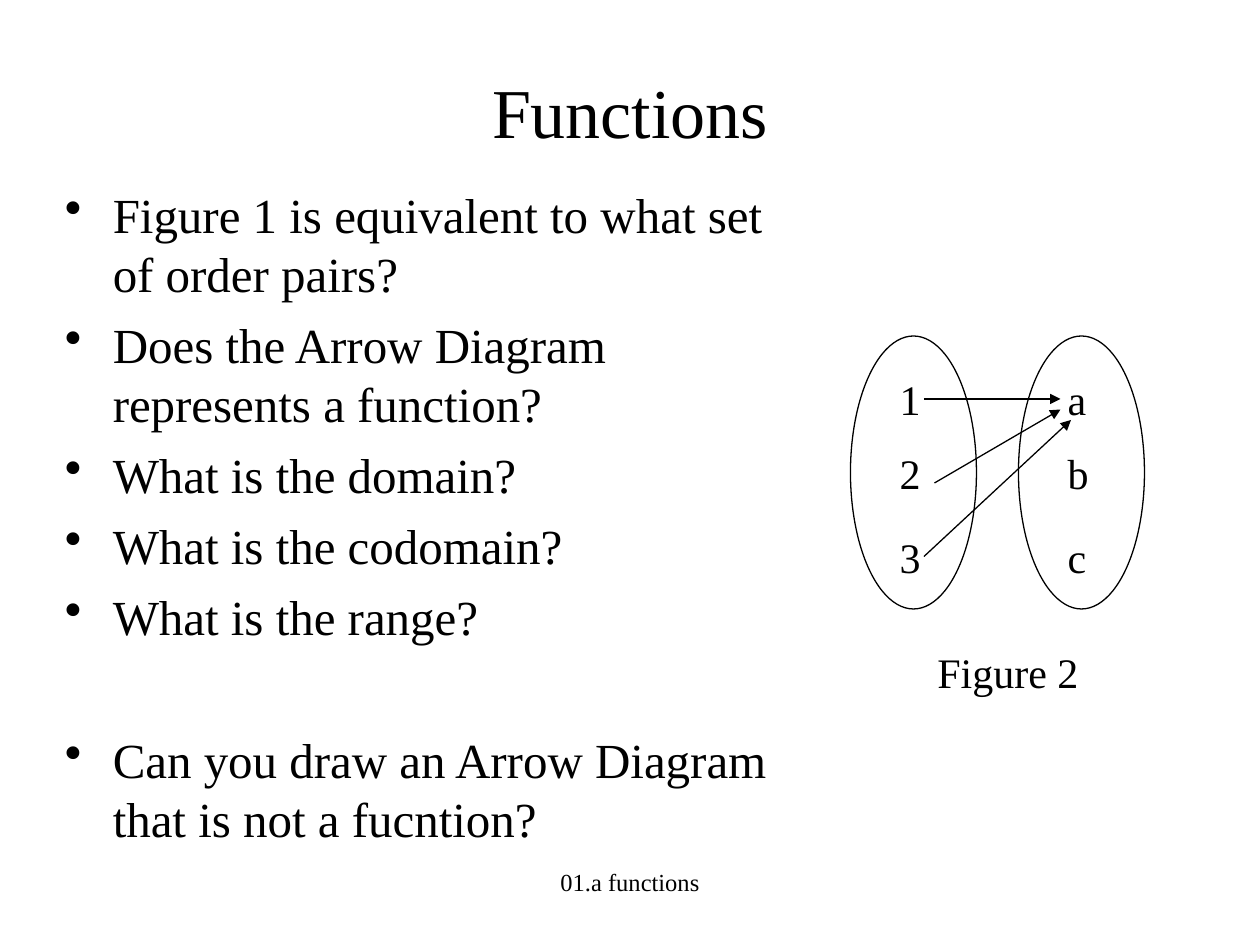
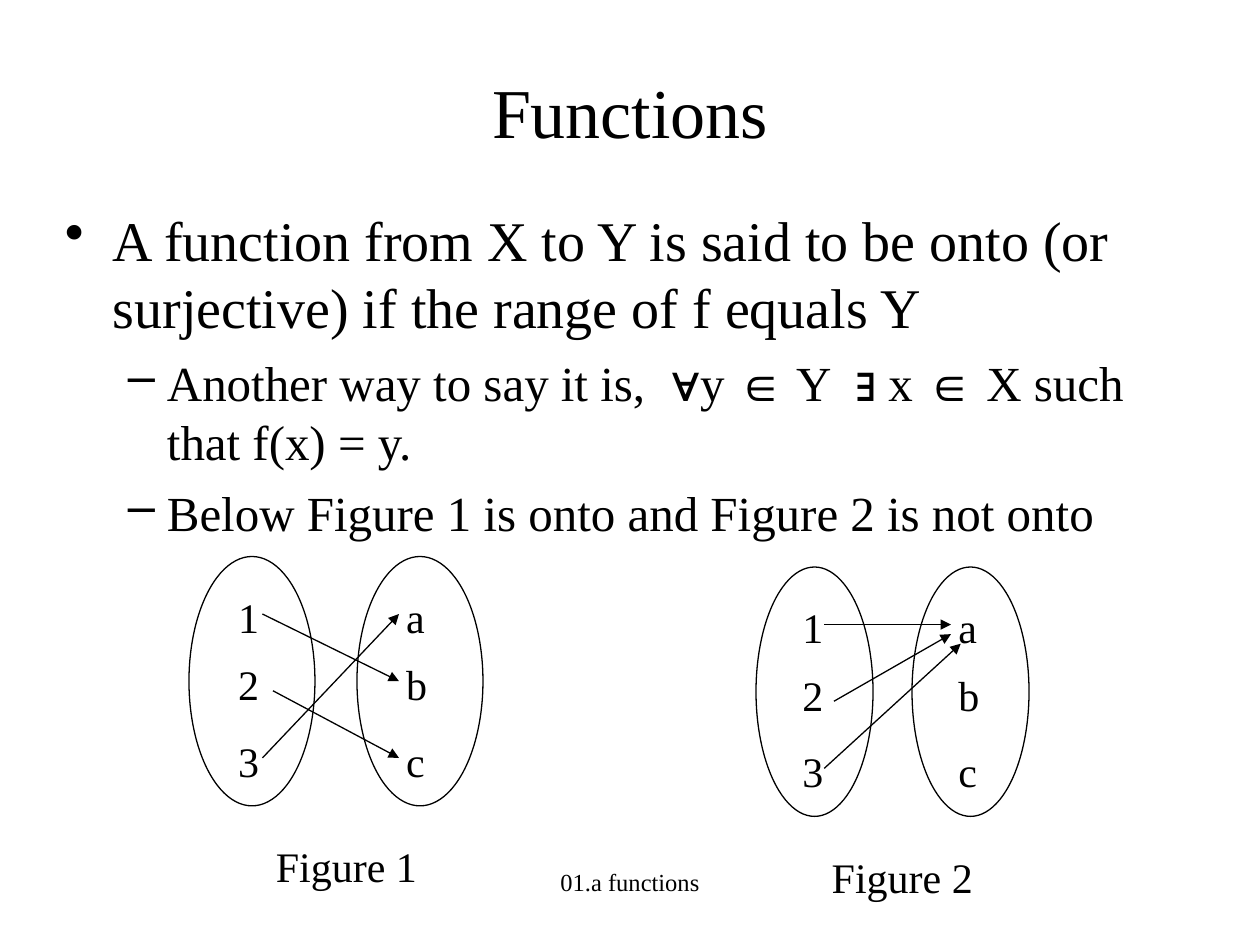
from lxml import etree
from pptx import Presentation
from pptx.dml.color import RGBColor
from pptx.enum.shapes import MSO_CONNECTOR, MSO_SHAPE
from pptx.enum.text import MSO_ANCHOR, PP_ALIGN
from pptx.oxml.ns import qn
from pptx.util import Inches, Pt

OVAL, STRAIGHT = MSO_SHAPE.OVAL, MSO_CONNECTOR.STRAIGHT
LEFT, CENTER = PP_ALIGN.LEFT, PP_ALIGN.CENTER
TOP, MIDDLE = MSO_ANCHOR.TOP, MSO_ANCHOR.MIDDLE
COLORS = {"ink": "000000", "paper": "FFFFFF"}
SERIF, SYMBOLS = "Times New Roman", "Arial"

SLIDE_W, SLIDE_H = Inches(10), Inches(7.5)
UNIT = SLIDE_W / 120
TITLE_BOX = (9, 3, 102, 15)
FOOTER_BOX = (41, 82, 38, 6)
LABEL_H = 6
FIGURE_COLS, FIGURE_ROWS = 28, 26
LABEL_ROWS = (3, 10, 18)
SETS = ((0, "123"), (16, "abc"))
ONTO = ((7, 6, 20, 13), (8, 14, 20, 21), (7, 21, 20, 6))
NOT_ONTO = ((7, 6, 20, 6), (8, 14, 20, 7), (7, 21, 21, 8))
LEVELS = (("•", 0.38, -0.38), ("–", 0.81, -0.31))

QUESTIONS = (
    "Figure 1 is equivalent to what set of order pairs?",
    "Does the Arrow Diagram represents a function?",
    "What is the domain?",
    "What is the codomain?",
    "What is the range?",
    "Can you draw an Arrow Diagram that is not a fucntion?",
)
ONTO_FORMULA = (
    ("Another way to say it is, ", SERIF), (" ∀", SYMBOLS), ("y ", SERIF),
    ("∈", SYMBOLS), (" Y ", SERIF), (" ∃", SYMBOLS), (" x ", SERIF),
    ("∈", SYMBOLS), (" X such that f(x) = y.", SERIF),
)


def rgb(name):
    """Return a named colour."""
    return RGBColor.from_string(COLORS[name])


def emu(*lengths):
    """Convert grid units to whole EMU."""
    return [round(n * UNIT) for n in lengths]


def style_run(r, size, font=SERIF):
    """Set the font of a run."""
    r.font.name, r.font.size = font, Pt(size)
    r.font.color.rgb = rgb("ink")


def write(sp, text, size, align=LEFT, anchor=TOP):
    """Write one paragraph into a shape."""
    tf = sp.text_frame
    tf.word_wrap, tf.vertical_anchor = True, anchor
    tf.text = text
    p = tf.paragraphs[0]
    p.alignment = align
    style_run(p.runs[0], size)


def add_text(shapes, box, text, size, align=LEFT):
    """Add a text box on the grid."""
    write(shapes.add_textbox(*emu(*box)), text, size, align)


def add_body(s, box, items):
    """Add bullets given as level, size, space before and runs."""
    tf = s.shapes.add_textbox(*emu(*box)).text_frame
    tf.word_wrap = True
    for i, (level, size, before, runs) in enumerate(items):
        p = tf.add_paragraph() if i else tf.paragraphs[0]
        char, margin, indent = LEVELS[level]
        p.level = level
        p.space_before = Pt(before)
        pPr = p._p.get_or_add_pPr()
        pPr.set("marL", str(Inches(margin)))
        pPr.set("indent", str(Inches(indent)))
        etree.SubElement(pPr, qn("a:buChar")).set("char", char)
        for text, font in runs:
            r = p.add_run()
            r.text = text
            style_run(r, size, font)


def add_oval(shapes, box):
    """Add an outlined set."""
    sp = shapes.add_shape(OVAL, *emu(*box))
    sp.shadow.inherit = False
    sp.fill.background()
    sp.line.color.rgb = rgb("ink")
    sp.line.width = Pt(0.75)


def add_arrow(shapes, ends):
    """Add a line with an arrowhead at its end."""
    line = shapes.add_connector(STRAIGHT, *emu(*ends))
    line.line.color.rgb = rgb("ink")
    line.line.width = Pt(0.75)
    etree.SubElement(line.line._get_or_add_ln(), qn("a:tailEnd")).set("type", "triangle")
    etree.SubElement(line._element.spPr, qn("a:effectLst"))


def add_figure(s, box, arrows, caption):
    """Add an arrow diagram of two sets with its caption."""
    x, y, w, h = box
    col, row = w / FIGURE_COLS, h / FIGURE_ROWS
    shapes = s.shapes.add_group_shape().shapes
    for left, members in SETS:
        add_oval(shapes, (x + left * col, y, 12 * col, h))
        for top, member in zip(LABEL_ROWS, members):
            label = (x + (left + 3.5) * col, y + top * row, 7 * col, LABEL_H)
            add_text(shapes, label, member, 24)
    for x1, y1, x2, y2 in arrows:
        add_arrow(shapes, (x + x1 * col, y + y1 * row, x + x2 * col, y + y2 * row))
    add_text(shapes, (x + 3 * col, y + 29 * row, 24 * col, LABEL_H), caption, 24, CENTER)


def new_slide(prs, title, box, items):
    """Add a slide with title, bullets and footer."""
    s = prs.slides.add_slide(prs.slide_layouts[5])
    s.background.fill.solid()
    s.background.fill.fore_color.rgb = rgb("paper")
    sp = s.shapes.title
    sp.left, sp.top, sp.width, sp.height = emu(*TITLE_BOX)
    write(sp, title, 40, CENTER, MIDDLE)
    add_body(s, box, items)
    add_text(s.shapes, FOOTER_BOX, "01.a functions", 14, CENTER)
    return s


def questions_slide(prs):
    """Build the slide of questions about one diagram."""
    gaps = (0, 7, 7, 7, 7, 48)
    items = [(0, 28, gap, [(text, SERIF)]) for gap, text in zip(gaps, QUESTIONS)]
    s = new_slide(prs, "Functions", (5, 17, 70, 64), items)
    add_figure(s, (81, 32, 28, 26), NOT_ONTO, "Figure 2")


def onto_slide(prs):
    """Build the slide that defines onto functions."""
    definition = "A function from X to Y is said to be onto (or surjective) if the range of f equals Y"
    comparison = "Below Figure 1 is onto and Figure 2 is not onto"
    items = [
        (0, 32, 0, [(definition, SERIF)]),
        (1, 28, 7, ONTO_FORMULA),
        (1, 28, 7, [(comparison, SERIF)]),
    ]
    s = new_slide(prs, "Functions", (5, 19, 111, 36), items)
    add_figure(s, (72, 54, 26, 23.75), NOT_ONTO, "Figure 2")
    add_figure(s, (18, 53, 28, 23.75), ONTO, "Figure 1")


def main():
    """Build and save the presentation."""
    prs = Presentation()
    prs.slide_width, prs.slide_height = SLIDE_W, SLIDE_H
    questions_slide(prs)
    onto_slide(prs)
    prs.save("out.pptx")


if __name__ == "__main__":
    main()
